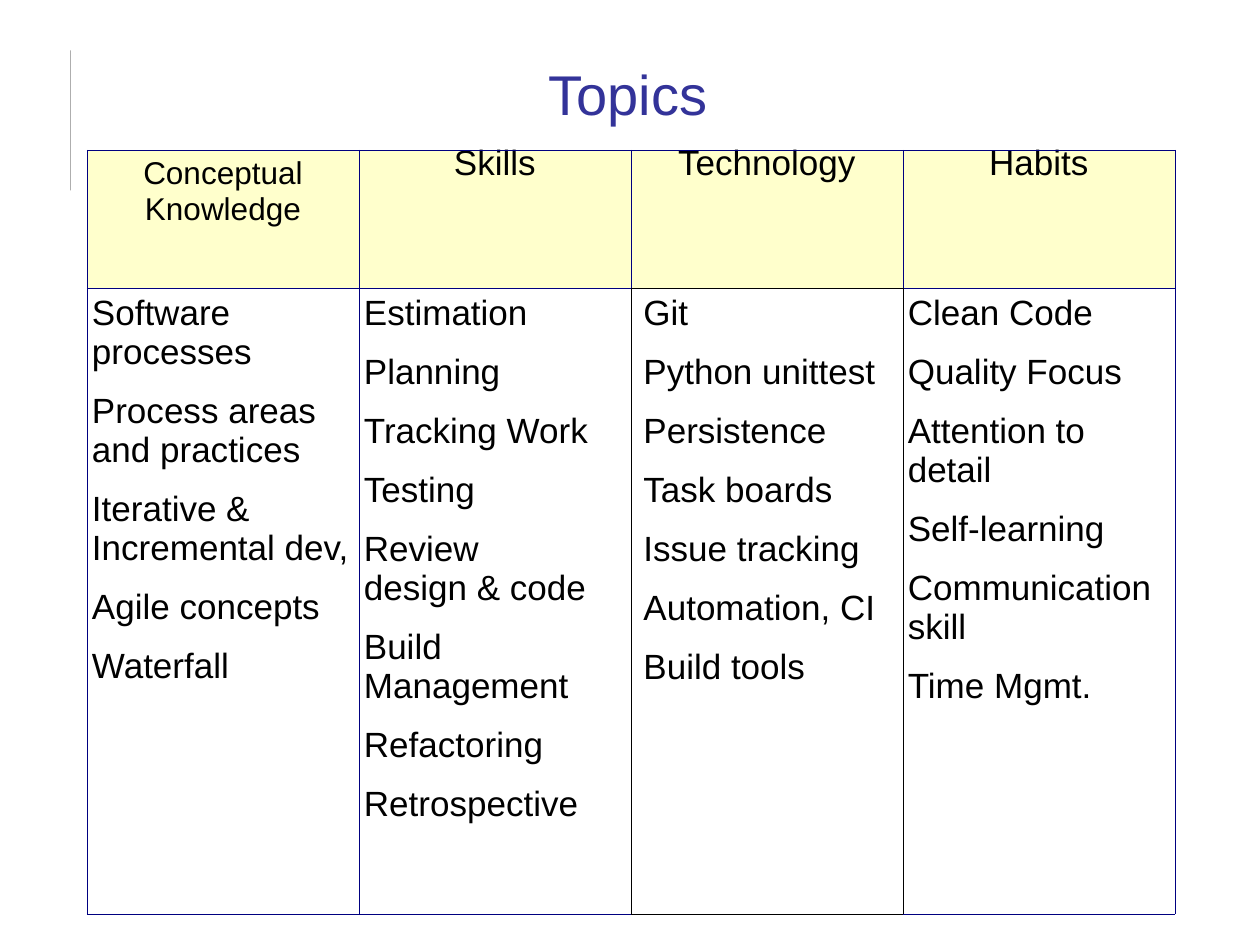
from dataclasses import dataclass, field

from lxml import etree
from pptx import Presentation
from pptx import util as u
from pptx.dml.color import RGBColor
from pptx.enum import shapes, text
from pptx.oxml.ns import qn

NAVY, BLACK, CREAM = "000080", "000000", "FFFFCC"


@dataclass
class Column:
    head: str
    items: list[str]
    head_fmt: dict = field(default_factory=lambda: {"line_spacing": 0.62})
    head_size: float = 20
    inset: float = 2.88
    head_black: str = ""
    body_black: str = ""


COLUMNS = [
    Column("Conceptual Knowledge",
           ["Software processes", "Process areas and practices",
            "Iterative & Incremental dev,", "Agile concepts", "Waterfall"],
           head_fmt={}, head_size=18),
    Column("Skills",
           ["Estimation", "Planning", "Tracking Work", "Testing",
            "Review\vdesign & code", "Build Management", "Refactoring",
            "Retrospective"],
           body_black="R"),
    Column("Technology",
           ["Git", "Python unittest", "Persistence", "Task boards",
            "Issue tracking", "Automation, CI", "Build tools"],
           inset=7.2, head_black="B", body_black="LRTB"),
    Column("Habits",
           ["Clean Code", "Quality Focus", "Attention to detail",
            "Self-learning", "Communication skill", "Time Mgmt."],
           body_black="L"),
]


def rgb(value: str) -> RGBColor:
    return RGBColor.from_string(value)


def apply(obj, fmt: dict) -> None:
    for name, value in fmt.items():
        setattr(obj, name, value)


def write(tf, lines: list[str], size: float, color: str, fmt: dict) -> None:
    tf.word_wrap = True
    for i, line in enumerate(lines):
        p = tf.add_paragraph() if i else tf.paragraphs[0]
        p.text = line
        apply(p, fmt)
        for r in p.runs:
            apply(r.font, {"name": "Arial", "size": u.Pt(size)})
            r.font.color.rgb = rgb(color)


def set_borders(cell, black: str) -> None:
    tc_pr = cell._tc.get_or_add_tcPr()
    for i, side in enumerate("LRTB"):
        ln = etree.Element(qn(f"a:ln{side}"), w=str(u.Pt(0.06)))
        fill = etree.SubElement(ln, qn("a:solidFill"))
        etree.SubElement(fill, qn("a:srgbClr"), val=BLACK if side in black else NAVY)
        tc_pr.insert(i, ln)


def fill_cell(cell, lines: list[str], size: float, inset: float, black: str,
              fmt: dict, fill: str = "") -> None:
    apply(cell, {"margin_left": u.Pt(inset), "margin_right": u.Pt(inset),
                 "margin_top": u.Pt(3.6), "margin_bottom": u.Pt(3.6)})
    if fill:
        cell.fill.solid()
        cell.fill.fore_color.rgb = rgb(fill)
    else:
        cell.fill.background()
    set_borders(cell, black)
    write(cell.text_frame, lines, size, BLACK, fmt)


prs = Presentation()
apply(prs, {"slide_width": u.Pt(720), "slide_height": u.Pt(540)})
s = prs.slides.add_slide(prs.slide_layouts[6])

rule = s.shapes.add_shape(shapes.MSO_SHAPE.RECTANGLE,
                          u.Pt(40.3), u.Pt(28.8), u.Pt(0), u.Pt(80))
rule.shadow.inherit = False
rule.fill.solid()
rule.fill.fore_color.rgb = rgb("1C1C1C")
rule.line.fill.background()

title = s.shapes.add_textbox(u.Pt(48.2), u.Pt(20.2), u.Pt(621.4), u.Pt(65.5))
title.text_frame.vertical_anchor = text.MSO_ANCHOR.MIDDLE
write(title.text_frame, ["Topics"], 32, "333399",
      {"alignment": text.PP_ALIGN.CENTER})

frame = s.shapes.add_table(2, len(COLUMNS), u.Pt(49.7), u.Pt(85.7),
                           u.Pt(621.6), u.Pt(436.4))
table = frame.table
apply(table, {"first_row": False, "horz_banding": False})
for row, height in zip(table.rows, (78.7, 357.7)):
    row.height = u.Pt(height)

for i, col in enumerate(COLUMNS):
    table.columns[i].width = u.Pt(155.4)
    fill_cell(table.cell(0, i), [col.head], col.head_size, 2.88, col.head_black,
              {"alignment": text.PP_ALIGN.CENTER, **col.head_fmt}, CREAM)
    fill_cell(table.cell(1, i), col.items, 20, col.inset, col.body_black,
              {"space_before": u.Pt(11.4)})

prs.save("out.pptx")
